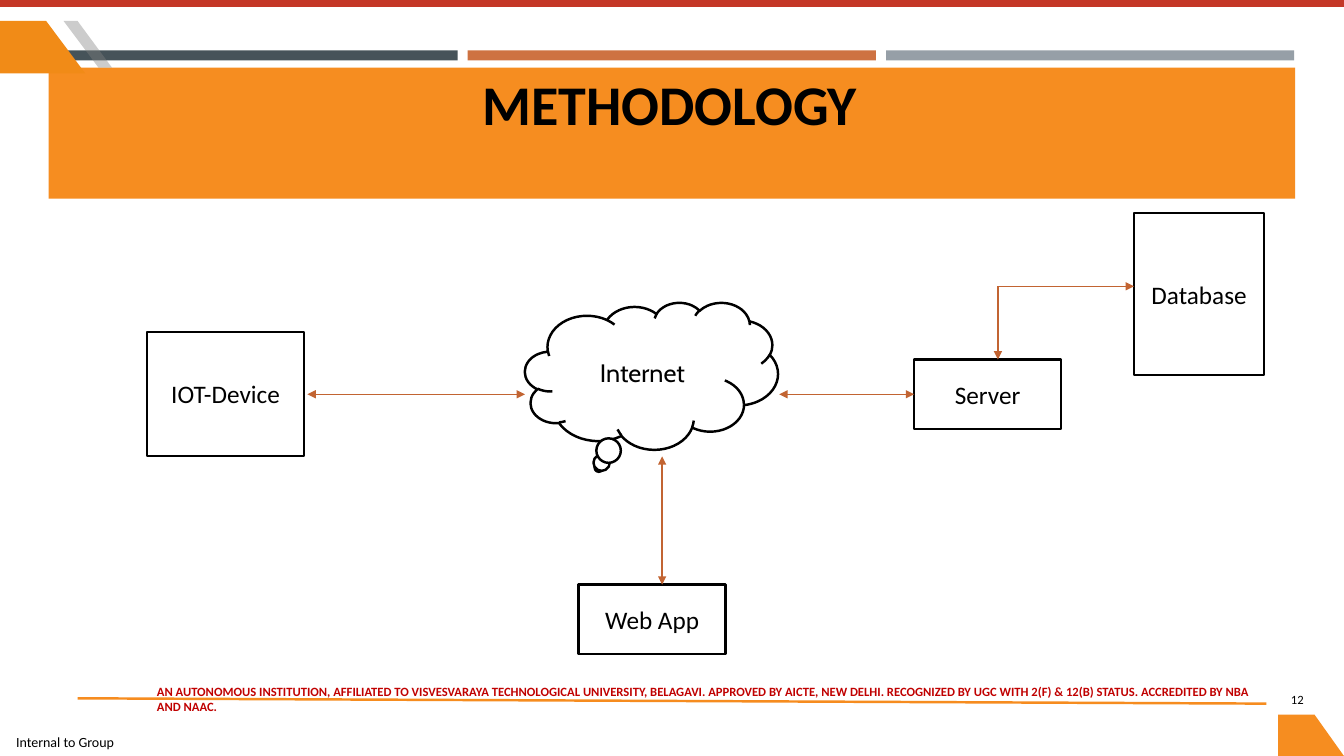
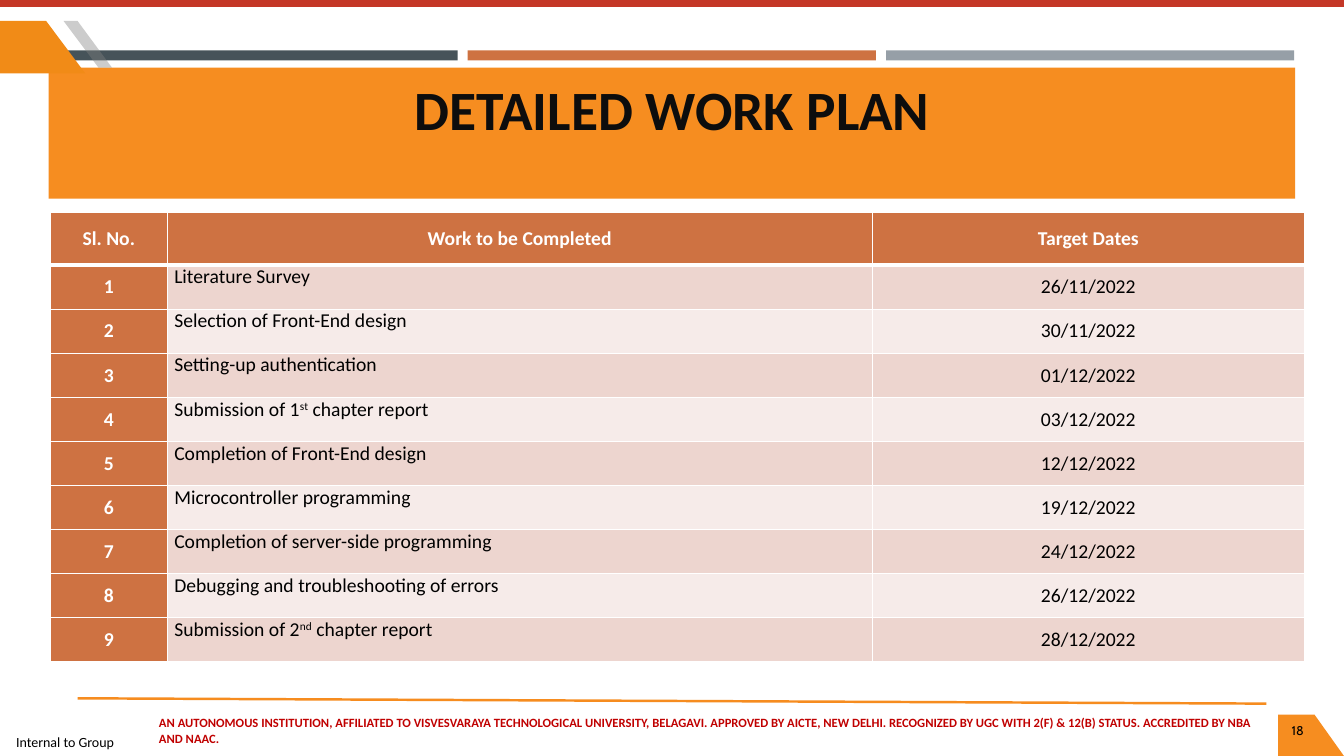
from lxml import etree
from pptx import Presentation
from pptx.dml.color import RGBColor
from pptx.enum.shapes import MSO_CONNECTOR as Connector, MSO_SHAPE as Preset
from pptx.enum.text import MSO_ANCHOR as Anchor, MSO_AUTO_SIZE as AutoSize, PP_ALIGN as Align
from pptx.oxml.ns import qn
from pptx.util import Pt

BLACK = RGBColor(0x00, 0x00, 0x00)
NEAR_BLACK = RGBColor(0x0D, 0x0D, 0x0D)
WHITE = RGBColor(0xFF, 0xFF, 0xFF)
RED = RGBColor(0xC4, 0x37, 0x27)
DARK_RED = RGBColor(0xC0, 0x00, 0x00)
ORANGE = RGBColor(0xF6, 0x8D, 0x20)
DEEP_ORANGE = RGBColor(0xF1, 0x8B, 0x17)
RULE_ORANGE = RGBColor(0xF6, 0x8C, 0x1F)
ARROW = RGBColor(0xC2, 0x64, 0x32)
GREY = RGBColor(0x80, 0x80, 0x80)
SLATE = RGBColor(0x46, 0x53, 0x59)
COPPER = RGBColor(0xCE, 0x72, 0x42)
SILVER = RGBColor(0x96, 0x9F, 0xA7)
ROW_TINTS = (RGBColor(0xED, 0xD5, 0xCF), RGBColor(0xF6, 0xEB, 0xE9))

FONT = "Calibri"
ALT_FONT = "Cabin"
WIDTH, HEIGHT = 960, 540

AFFILIATION = (
    "AN AUTONOMOUS INSTITUTION, AFFILIATED TO VISVESVARAYA TECHNOLOGICAL UNIVERSITY, "
    "BELAGAVI. APPROVED BY AICTE, NEW DELHI. RECOGNIZED BY UGC WITH 2(F) & 12(B) STATUS. "
    "ACCREDITED BY NBA AND NAAC."
)
WORK_PLAN = [
    (("Literature Survey",), "26/11/2022"),
    (("Selection of Front-End design",), "30/11/2022"),
    (("Setting-up authentication",), "01/12/2022"),
    (("Submission of 1", "st", " chapter report"), "03/12/2022"),
    (("Completion of Front-End design",), "12/12/2022"),
    (("Microcontroller programming",), "19/12/2022"),
    (("Completion of server-side programming",), "24/12/2022"),
    (("Debugging and troubleshooting of errors",), "26/12/2022"),
    (("Submission of 2", "nd", " chapter report"), "28/12/2022"),
]


def set_attributes(target, values):
    for name, value in values.items():
        setattr(target, name, value)


def points(*lengths):
    return [Pt(length) for length in lengths]


def write(text_frame, pieces, size, color=BLACK, bold=False, align=Align.LEFT, font=FONT):
    """Write one paragraph; every second piece is superscript."""
    paragraph = text_frame.paragraphs[0]
    paragraph.alignment = align
    for index, piece in enumerate(pieces):
        run = paragraph.add_run()
        run.text = piece
        set_attributes(run.font, {"name": font, "size": Pt(size), "bold": bold})
        run.font.color.rgb = color
        if index % 2:
            run._r.get_or_add_rPr().set("baseline", "30000")


def add_text(slide, box, text, size, inset=None, **style):
    text_frame = slide.shapes.add_textbox(*points(*box)).text_frame
    set_attributes(text_frame, {"word_wrap": True, "vertical_anchor": Anchor.MIDDLE})
    if inset is not None:
        set_attributes(text_frame, {f"margin_{side}": Pt(inset)
                                    for side in ("left", "top", "right", "bottom")})
    write(text_frame, [text], size, **style)


def paint(shape, fill):
    shape.shadow.inherit = False
    shape.fill.solid()
    shape.fill.fore_color.rgb = fill
    shape.line.fill.background()


def add_bar(slide, box, fill):
    paint(slide.shapes.add_shape(Preset.RECTANGLE, *points(*box)), fill)


def add_polygon(slide, corners, fill, alpha=None):
    start, *rest = [points(*corner) for corner in corners]
    builder = slide.shapes.build_freeform(*start)
    builder.add_line_segments(rest, close=True)
    shape = builder.convert_to_shape()
    paint(shape, fill)
    if alpha is not None:
        color = shape._element.spPr.find(f".//{qn('a:srgbClr')}")
        etree.SubElement(color, qn("a:alpha"), val=str(alpha * 1000))


def add_line(slide, start, end, color, width, heads=()):
    """Draw a straight line; heads names its arrow ends, headEnd before tailEnd."""
    line = slide.shapes.add_connector(Connector.STRAIGHT, *points(*start, *end))
    line.line.color.rgb = color
    line.line.width = Pt(width)
    outline = line.line._get_or_add_ln()
    for head in heads:
        etree.SubElement(outline, qn(f"a:{head}"), type="triangle")
    etree.SubElement(line._element.spPr, qn("a:effectLst"))
    return line


def add_node(slide, box, text, preset=Preset.RECTANGLE, font=FONT):
    shape = slide.shapes.add_shape(preset, *points(*box))
    paint(shape, WHITE)
    shape.line.color.rgb = BLACK
    shape.line.width = Pt(1.75)
    set_attributes(shape.text_frame, {"word_wrap": True, "vertical_anchor": Anchor.MIDDLE})
    write(shape.text_frame, [text], 18, align=Align.CENTER, font=font)
    return shape


def add_decoration(slide):
    for index, color in enumerate((SLATE, COPPER, SILVER)):
        add_bar(slide, (35.3 + 298.8 * index, 36, 291.6, 7.2), color)
    add_text(slide, (11.5, 519.5, 93, 21), "Internal to Group", 10, inset=0)
    add_bar(slide, (34.8, 48.4, 890.4, 93.6), ORANGE)
    add_bar(slide, (0, 0, WIDTH, 5), RED)
    add_polygon(slide, [(33, 15), (0, 15), (0, 52.5), (61, 52.5)], DEEP_ORANGE)
    add_polygon(slide, [(55.4, 15), (45.4, 15), (70.4, 48.4), (80, 48.4)], GREY, alpha=40)
    add_polygon(slide, [(939, 510.5), (913, 510.5), (913, HEIGHT), (WIDTH, HEIGHT)], ORANGE)
    add_line(slide, (55.4, 498.8), (904.6, 502.6), RULE_ORANGE, 1.75)


def place_title(slide, text, box, top_inset, size, color):
    title = slide.shapes.title
    set_attributes(title, dict(zip(("left", "top", "width", "height"), points(*box))))
    set_attributes(title.text_frame, {
        "word_wrap": True, "auto_size": AutoSize.NONE,
        "vertical_anchor": Anchor.TOP, "margin_top": Pt(top_inset)})
    write(title.text_frame, [text], size, color, bold=True, align=Align.CENTER)
    title.text_frame.paragraphs[0].line_spacing = 0.85
    title._element.getparent().append(title._element)  # in front of the band


def add_footer(slide, left, top, number, font=FONT):
    add_text(slide, (left, top, 797, 29.5), AFFILIATION, 9, color=DARK_RED, bold=True)
    add_text(slide, (903, top + 2, 35.3, 26), number, 9, align=Align.RIGHT, font=font)


def new_slide(presentation):
    slide = presentation.slides.add_slide(presentation.slide_layouts[5])
    add_decoration(slide)
    return slide


def set_borders(cell, top, bottom):
    properties = cell._tc.get_or_add_tcPr()
    for side, width in (("L", 1), ("R", 1), ("T", top), ("B", bottom)):
        line = etree.SubElement(properties, qn(f"a:ln{side}"), w=str(Pt(width)))
        fill = etree.SubElement(line, qn("a:solidFill"))
        etree.SubElement(fill, qn("a:srgbClr"), val=str(WHITE))


def add_plan_table(slide, left, top, column_widths, header_height, row_height):
    rows = [(("Sl. No.",), ("Work to be Completed",), ("Target Dates",))]
    rows += [((str(number),), work, (date,))
             for number, (work, date) in enumerate(WORK_PLAN, 1)]
    height = header_height + row_height * len(WORK_PLAN)
    table = slide.shapes.add_table(
        len(rows), len(column_widths), *points(left, top, sum(column_widths), height)).table
    for column, width in zip(table.columns, column_widths):
        column.width = Pt(width)
    for row_index, row in enumerate(rows):
        table.rows[row_index].height = Pt(row_height if row_index else header_height)
        for column_index, pieces in enumerate(row):
            cell = table.cell(row_index, column_index)
            heading = row_index == 0 or column_index == 0
            is_work = row_index > 0 and column_index == 1
            set_borders(cell, 3 if row_index == 1 else 1, 1 if row_index else 3)
            cell.fill.solid()
            cell.fill.fore_color.rgb = COPPER if heading else ROW_TINTS[(row_index - 1) % 2]
            set_attributes(cell, {
                "margin_left": Pt(5), "margin_right": Pt(5), "margin_top": 0,
                "margin_bottom": 0,
                "vertical_anchor": Anchor.TOP if is_work else Anchor.MIDDLE})
            write(cell.text_frame, pieces, 14, WHITE if heading else BLACK, heading,
                  Align.LEFT if is_work else Align.CENTER)


def build_methodology(presentation):
    slide = new_slide(presentation)
    place_title(slide, "METHODOLOGY", (38.2, 56.9, 880.6, 82), 0, 40, BLACK)
    add_footer(slide, 105, 484.6, "12")
    add_node(slide, (413.3, 417.6, 105, 49.7), "Web App")
    add_node(slide, (810, 152, 93, 116), "Database")
    server = add_node(slide, (653, 256.8, 105, 49.7), "Server")
    add_node(slide, (105, 237, 112.3, 88.6), "IOT-Device")
    add_node(slide, (375, 216, 180.7, 105), "Internet", Preset.CLOUD_CALLOUT, ALT_FONT)

    row_y, corner = 281.65, (712.8, 204.5)
    both, end_only = ("headEnd", "tailEnd"), ("tailEnd",)
    add_line(slide, (219.6, row_y), (375, row_y), ARROW, 1, both)
    add_line(slide, (556.6, row_y), (653, row_y), ARROW, 1, both).end_connect(server, 1)
    add_line(slide, (473, 326), (473, 417.6), ARROW, 1, both)
    add_line(slide, corner, (corner[0], 256.8), ARROW, 1, end_only)
    add_line(slide, corner, (810, corner[1]), ARROW, 1, end_only)


def build_work_plan(presentation):
    slide = new_slide(presentation)
    place_title(slide, "DETAILED WORK PLAN", (46, 55.4, 868.3, 80), 5.5, 39.6, NEAR_BLACK)
    add_plan_table(slide, 36, 152, (83.5, 503.5, 308.9), 37.4, 31.5)
    add_footer(slide, 106.5, 507, "18", ALT_FONT)


def main():
    presentation = Presentation()
    set_attributes(presentation, {"slide_width": Pt(WIDTH), "slide_height": Pt(HEIGHT)})
    build_methodology(presentation)
    build_work_plan(presentation)
    presentation.save("out.pptx")


if __name__ == "__main__":
    main()
